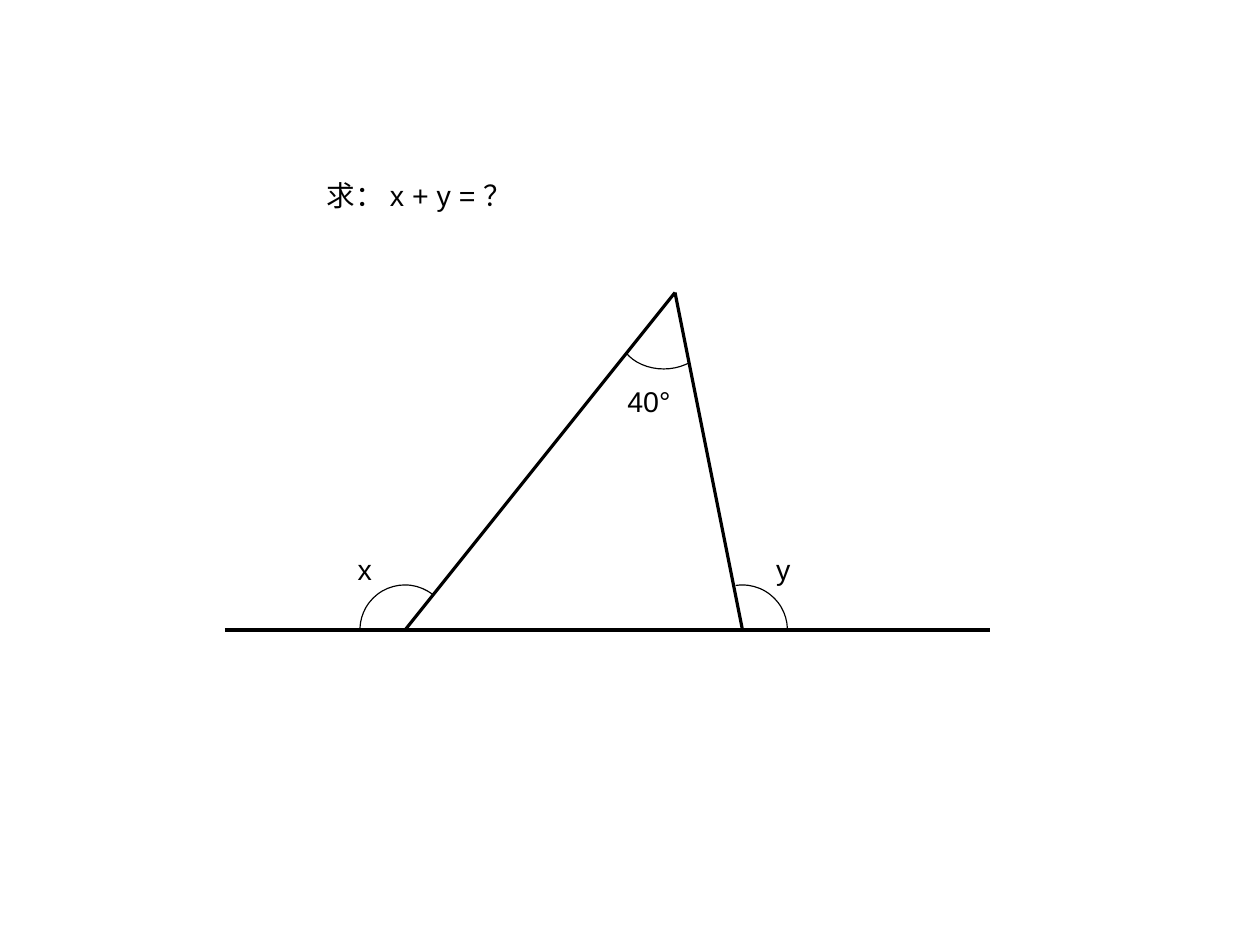
from dataclasses import dataclass

from lxml.etree import SubElement
from pptx import Presentation
from pptx.dml.color import RGBColor
from pptx.enum.shapes import MSO_CONNECTOR, MSO_SHAPE
from pptx.enum.text import MSO_ANCHOR, MSO_AUTO_SIZE, PP_ALIGN
from pptx.oxml.ns import qn
from pptx.util import Cm, Pt


@dataclass(frozen=True)
class Theme:
    """Colours, type and line weight of the slide."""
    ink: RGBColor = RGBColor(0, 0, 0)
    font: str = "Arial"
    size: Pt = Pt(18)
    hairline: Pt = Pt(0)


THEME = Theme()
COLUMNS, ROWS = 28, 21
UNIT = Cm(1)


def grid(*cells):
    """Convert grid columns and rows to slide lengths."""
    return [round(cell * UNIT) for cell in cells]


def style_line(line):
    """Give a line the theme's ink and weight."""
    line.color.rgb = THEME.ink
    line.width = THEME.hairline


def add_segment(slide, start, end):
    """Join two grid points with a straight line."""
    sp = slide.shapes.add_connector(MSO_CONNECTOR.STRAIGHT, *grid(*start, *end))
    style_line(sp.line)
    SubElement(sp._element.spPr, qn("a:effectLst"))


def add_angle(slide, centre, radii, degrees):
    """Draw an angle mark clockwise between two directions."""
    (x, y), (rx, ry) = centre, radii
    sp = slide.shapes.add_shape(
        MSO_SHAPE.ARC, *grid(x - rx, y - ry, 2 * rx, 2 * ry))
    for i, degree in enumerate(degrees):
        sp.adjustments[i] = degree * 0.6
    sp.fill.background()
    sp.shadow.inherit = False
    style_line(sp.line)


def set_text(sp, text, box):
    """Place a text shape on the grid and format its text."""
    sp.left, sp.top, sp.width, sp.height = grid(*box)
    tf = sp.text_frame
    tf.text = text
    tf.word_wrap = False
    tf.auto_size = MSO_AUTO_SIZE.SHAPE_TO_FIT_TEXT
    tf.vertical_anchor = MSO_ANCHOR.TOP
    p = tf.paragraphs[0]
    p.alignment = PP_ALIGN.LEFT
    for r in p.runs:
        r.font.name = THEME.font
        r.font.size = THEME.size
        r.font.color.rgb = THEME.ink


def add_label(slide, text, box):
    """Add a label beside an angle."""
    set_text(slide.shapes.add_textbox(*grid(*box)), text, box)


def main():
    """Build the triangle exercise."""
    prs = Presentation()
    prs.slide_width, prs.slide_height = grid(COLUMNS, ROWS)
    slide = prs.slides.add_slide(prs.slide_layouts[5])
    set_text(slide.shapes.title, "求： x + y = ？", (7, 3.83, 4.95, 1.17))

    base_row = 14
    left, right, apex = (9, base_row), (16.5, base_row), (15, 6.5)
    add_segment(slide, (5, base_row), (22, base_row))
    for corner in (left, right):
        add_segment(slide, corner, apex)

    add_angle(slide, (14.75, 7.45), (0.98, 0.75), (47.68, 154.4))
    add_angle(slide, left, (1, 1), (182.14, 308.94))
    add_angle(slide, right, (1, 1), (261.43, 357.63))

    add_label(slide, "40°", (13.69, 8.4, 1.47, 0.97))
    for name, column in (("x", 7.7), ("y", 17)):
        add_label(slide, name, (column, 12.15, 0.81, 0.97))
    prs.save("out.pptx")


if __name__ == "__main__":
    main()
